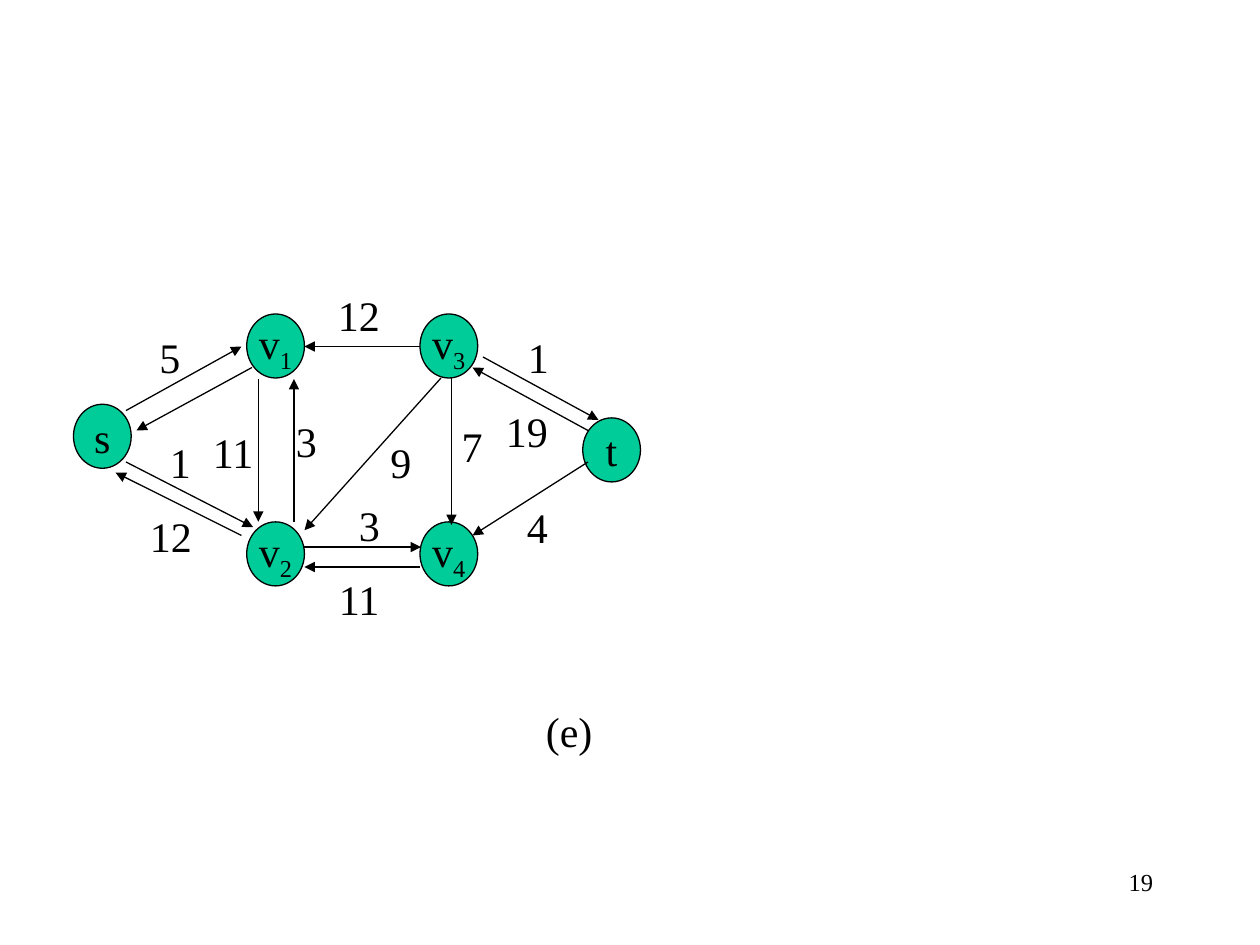
from lxml import etree
from pptx import Presentation
from pptx.dml.color import RGBColor
from pptx.enum.shapes import MSO_CONNECTOR, MSO_SHAPE
from pptx.enum.text import MSO_ANCHOR, PP_ALIGN
from pptx.oxml.ns import qn
from pptx.util import Inches, Pt

LEFT, CENTER, RIGHT = PP_ALIGN.LEFT, PP_ALIGN.CENTER, PP_ALIGN.RIGHT
TOP, MIDDLE = MSO_ANCHOR.TOP, MSO_ANCHOR.MIDDLE
STRAIGHT, OVAL = MSO_CONNECTOR.STRAIGHT, MSO_SHAPE.OVAL
BLANK_LAYOUT = 6

BLACK = RGBColor(0x00, 0x00, 0x00)
GREEN = RGBColor(0x00, 0xCC, 0x99)

# Grid of 120 columns and 90 rows; every position below is in grid units
COLUMNS, ROWS = 120, 90
NODE_WIDTH, NODE_HEIGHT = 5.5, 6.1
LABEL_WIDTHS = {1: 4.3, 2: 6.4, 3: 6.8}
LABEL_HEIGHT = 6

# Nodes: name, subscript, left, top
NODES = [
    ("s", "", 7, 38.5),
    ("v", "2", 23.5, 49.7),
    ("v", "4", 40, 49.7),
    ("t", "", 55.5, 39.8),
    ("v", "3", 40, 29.9),
    ("v", "1", 23.5, 29.9),
]

# Residual edges: start column and row, end column and row
EDGES = [
    (12, 39.1, 23, 33),      # s to v1
    (24, 35, 13, 41),        # v1 to s
    (12, 44, 24.1, 50.2),    # s to v2
    (23, 51, 11, 45),        # v2 to s
    (24.6, 36.1, 24.6, 49.7),  # v1 to v2
    (28, 49.7, 28, 36.1),    # v2 to v1
    (40, 33, 29, 33),        # v3 to v1
    (42, 36, 29, 50.5),      # v3 to v2
    (43, 36, 43, 50),        # v3 to v4
    (29, 52.1, 40.1, 52.1),  # v2 to v4
    (40, 54, 29, 54),        # v4 to v2
    (46, 34, 57, 40),        # v3 to t
    (56, 41, 45, 35),        # t to v3
    (56, 44, 45, 51),        # t to v4
]

# Capacities and the figure letter: text, left, top
LABELS = [
    ("5", 14, 31),
    ("12", 13.1, 48),
    ("12", 31, 27),
    ("11", 19.1, 40),
    ("3", 27, 39),
    ("1", 49.1, 31),
    ("4", 49, 47.2),
    ("11", 31.1, 54),
    ("9", 36, 41),
    ("3", 33, 47),
    ("1", 15, 41),
    ("19", 47, 38),
    ("7", 42.8, 39.5),
    ("(e)", 50.8, 66.6),
]


def write_text(frame, text, *, subscript="", size=24, align=LEFT,
               anchor=TOP, wrap=False, font="Times New Roman", color=BLACK):
    frame.word_wrap = wrap
    frame.vertical_anchor = anchor
    paragraph = frame.paragraphs[0]
    paragraph.alignment = align
    for content in filter(None, (text, subscript)):
        run = paragraph.add_run()
        run.text = content
        run.font.name = font
        run.font.size = Pt(size)
        run.font.color.rgb = color
    if subscript:
        run.font._element.set("baseline", "-25000")


class GraphSlide:
    """Draws graph parts on one slide, placed by grid units."""

    line_width = Pt(0.75)

    def __init__(self, presentation):
        self.slide = presentation.slides.add_slide(
            presentation.slide_layouts[BLANK_LAYOUT])
        self.column = presentation.slide_width / COLUMNS
        self.row = presentation.slide_height / ROWS

    def place(self, *lengths):
        """Turn alternating columns and rows into slide lengths."""
        return [round(length * (self.row if index % 2 else self.column))
                for index, length in enumerate(lengths)]

    def style_line(self, line):
        line.color.rgb = BLACK
        line.width = self.line_width

    def node(self, name, subscript, left, top):
        shape = self.slide.shapes.add_shape(
            OVAL, *self.place(left, top, NODE_WIDTH, NODE_HEIGHT))
        shape.shadow.inherit = False
        shape.fill.solid()
        shape.fill.fore_color.rgb = GREEN
        self.style_line(shape.line)
        write_text(shape.text_frame, name, subscript=subscript,
                   align=CENTER, anchor=MIDDLE)

    def edge(self, *ends):
        connector = self.slide.shapes.add_connector(STRAIGHT, *self.place(*ends))
        self.style_line(connector.line)
        etree.SubElement(connector.line._get_or_add_ln(), qn("a:tailEnd"),
                         type="triangle")
        etree.SubElement(connector._element.spPr, qn("a:effectLst"))

    def label(self, text, left, top, width=None, **text_format):
        width = width or LABEL_WIDTHS[len(text)]
        box = self.slide.shapes.add_textbox(
            *self.place(left, top, width, LABEL_HEIGHT))
        write_text(box.text_frame, text, **text_format)


def main():
    presentation = Presentation()
    presentation.slide_width = Inches(10)
    presentation.slide_height = Inches(7.5)
    graph = GraphSlide(presentation)

    # Flow network
    for node in NODES:
        graph.node(*node)
    for edge in EDGES:
        graph.edge(*edge)
    for label in LABELS:
        graph.label(*label)

    # Page number
    graph.label("19", 86, 82, width=25, size=14, align=RIGHT, wrap=True)

    presentation.save("out.pptx")


if __name__ == "__main__":
    main()
